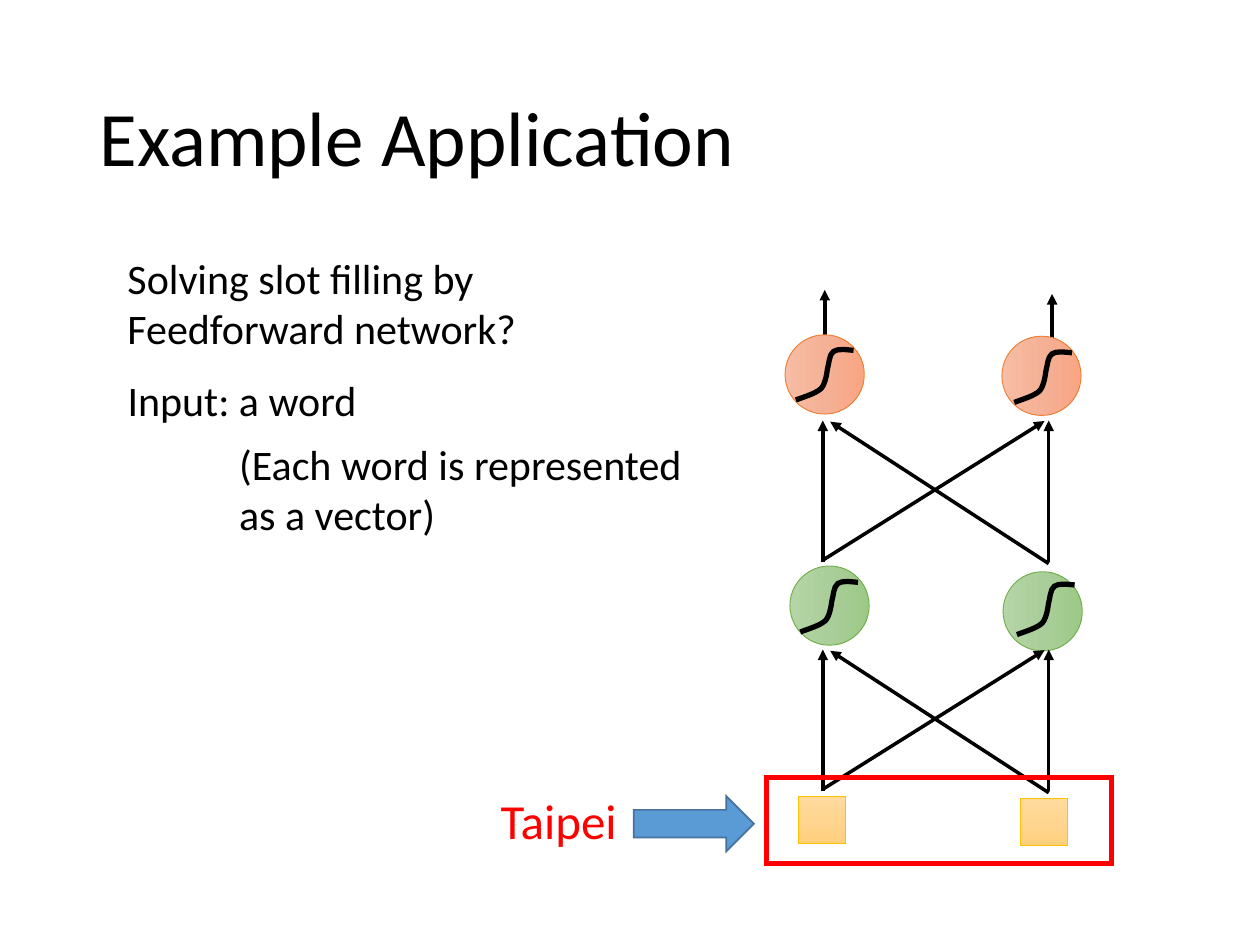
from copy import deepcopy

from lxml import etree
from pptx import Presentation
from pptx.dml.color import RGBColor
from pptx.enum.shapes import MSO_CONNECTOR, MSO_SHAPE
from pptx.enum.text import MSO_ANCHOR
from pptx.oxml.ns import qn
from pptx.util import Pt

STRAIGHT = MSO_CONNECTOR.STRAIGHT
RECTANGLE = MSO_SHAPE.RECTANGLE
OVAL = MSO_SHAPE.OVAL
RIGHT_ARROW = MSO_SHAPE.RIGHT_ARROW
MIDDLE, TOP = MSO_ANCHOR.MIDDLE, MSO_ANCHOR.TOP

COLORS = {
    "black": "000000", "red": "FF0000",
    "blue": "5B9BD5", "blue_line": "43739E",
    "input_line": "FFC000", "hidden_line": "70AD47", "output_line": "ED7D31",
}
GRADIENTS = {
    "input": ("FFDB9E", "FFD590", "FFD07C"),
    "hidden": ("B5D5A7", "AACE9A", "9CC987"),
    "output": ("F7BDA5", "F5B196", "F8A582"),
}
NODE_SIZE = 45.3
INPUT_SIZE = 27.1

# Activation curve: a start point, then cubic pieces (two controls and an end)
CURVE_START = (0, 28.4)
CURVE_PIECES = [
    ((5.8, 26.2), (11, 24.8), (14.4, 21.9)),
    ((17.2, 19), (18, 11.1), (18, 11.1)),
    ((19, 7.5), (19, 2.5), (21.5, 0.7)),
    ((24, -1.1), (28.3, -0.4), (33, 0)),
]


class SlideBuilder:
    font = "Calibri"

    def __init__(self, slide):
        self.slide = slide

    def color(self, name):
        return RGBColor.from_string(COLORS[name])

    def outline(self, shape, color, width):
        shape.line.color.rgb = self.color(color)
        shape.line.width = Pt(width)
        etree.SubElement(shape.line._get_or_add_ln(), qn("a:miter"), lim="800000")

    def text(self, text, left, top, width, height, size,
             color="black", anchor=TOP, wrap=True, spacing=1.0):
        box = self.slide.shapes.add_textbox(
            Pt(left), Pt(top), Pt(width), Pt(height))
        frame = box.text_frame
        frame.word_wrap = wrap
        frame.vertical_anchor = anchor
        paragraph = frame.paragraphs[0]
        paragraph.text = text
        paragraph.line_spacing = spacing
        paragraph.font.name = self.font
        paragraph.font.size = Pt(size)
        paragraph.font.color.rgb = self.color(color)

    def shape(self, kind, left, top, width, height, line, line_width, fill=None):
        shape = self.slide.shapes.add_shape(
            kind, Pt(left), Pt(top), Pt(width), Pt(height))
        shape.shadow.inherit = False
        if fill:
            shape.fill.solid()
            shape.fill.fore_color.rgb = self.color(fill)
        else:
            shape.fill.background()
        self.outline(shape, line, line_width)
        return shape

    def unit(self, kind, left, top, size, layer, rotation=0):
        shape = self.shape(kind, left, top, size, size, f"{layer}_line", 0.5)
        shape.rotation = rotation
        shape.fill.gradient()
        shape.fill.gradient_angle = 270
        stop_list = shape._element.spPr.find(".//" + qn("a:gsLst"))
        stop_list.insert(1, deepcopy(stop_list[0]))
        stops = shape.fill.gradient_stops
        for stop, position, value in zip(stops, (0, 0.5, 1), GRADIENTS[layer]):
            stop.position = position
            stop.color.rgb = RGBColor.from_string(value)

    def arrow(self, x1, y1, x2, y2):
        line = self.slide.shapes.add_connector(
            STRAIGHT, Pt(x1), Pt(y1), Pt(x2), Pt(y2))
        self.outline(line, "black", 2)
        etree.SubElement(line.line._get_or_add_ln(), qn("a:tailEnd"),
                         type="triangle")
        etree.SubElement(line._element.spPr, qn("a:effectLst"))

    def curve(self, left, top):
        knots = [CURVE_START] + [piece[-1] for piece in CURVE_PIECES]
        points = [(Pt(left + x), Pt(top + y)) for x, y in knots]
        builder = self.slide.shapes.build_freeform(*points[0])
        builder.add_line_segments(points[1:], close=False)
        shape = builder.convert_to_shape()
        # Turn each straight segment into a cubic one
        segments = list(shape._element.spPr.iter(qn("a:lnTo")))
        for segment, piece in zip(segments, CURVE_PIECES):
            cubic = etree.Element(qn("a:cubicBezTo"))
            for x, y in piece:
                etree.SubElement(cubic, qn("a:pt"), x=str(Pt(x)), y=str(Pt(y)))
            segment.getparent().replace(segment, cubic)
        shape.shadow.inherit = False
        shape.fill.background()
        self.outline(shape, "black", 3)

    def full_connection(self, top):
        left, right, bottom = 470.2, 599.3, top + 81
        self.arrow(right, bottom + 0.8, 474.4, top + 0.7)
        self.arrow(left, bottom - 1.2, 596.9, top + 0.3)
        for x in (right, left):
            self.arrow(x, bottom, x, top)


def main():
    presentation = Presentation()
    presentation.slide_width, presentation.slide_height = Pt(720), Pt(540)
    slide = presentation.slides.add_slide(presentation.slide_layouts[6])
    builder = SlideBuilder(slide)

    # Title
    builder.text("Example Application", 49.9, 28.8, 621, 104.4, 44,
                 anchor=MIDDLE, spacing=0.9)

    # Output arrows
    builder.arrow(601.2, 219.6, 601.2, 168)
    builder.arrow(471.3, 216.7, 471.3, 165.6)

    # Network units
    for left, top in ((456.3, 455), (583.1, 456.3)):
        builder.unit(RECTANGLE, left, top, INPUT_SIZE, "input")
    for layer, left, top in (("hidden", 451.4, 323.4), ("hidden", 573.2, 326.7),
                             ("output", 448.6, 191.3), ("output", 572.5, 192.1)):
        builder.unit(OVAL, left, top, NODE_SIZE, layer, rotation=270)

    # Connections between layers
    for top in (371.2, 240.3):
        builder.full_connection(top)

    # Activation curves
    for left, top in ((454.8, 200.2), (579.6, 201.6), (581.1, 334.3), (457.3, 332.8)):
        builder.curve(left, top)

    # Input word feeding the input layer
    builder.text("Taipei", 279, 448, 81.4, 41, 28, color="red", wrap=False)
    builder.shape(RIGHT_ARROW, 362.2, 454.9, 68.6, 31.7, "blue_line", 1, fill="blue")
    builder.shape(RECTANGLE, 438, 444.2, 197.3, 49.4, "red", 3)

    # Explanation
    builder.text("Input: a word", 65.8, 210.5, 157.7, 36, 24)
    builder.text("(Each word is represented as a vector)",
                 129.6, 247, 270.7, 65.5, 24)
    builder.text("Solving slot filling by Feedforward network?",
                 65.8, 140.7, 285.8, 65.5, 24)

    presentation.save("out.pptx")


if __name__ == "__main__":
    main()
